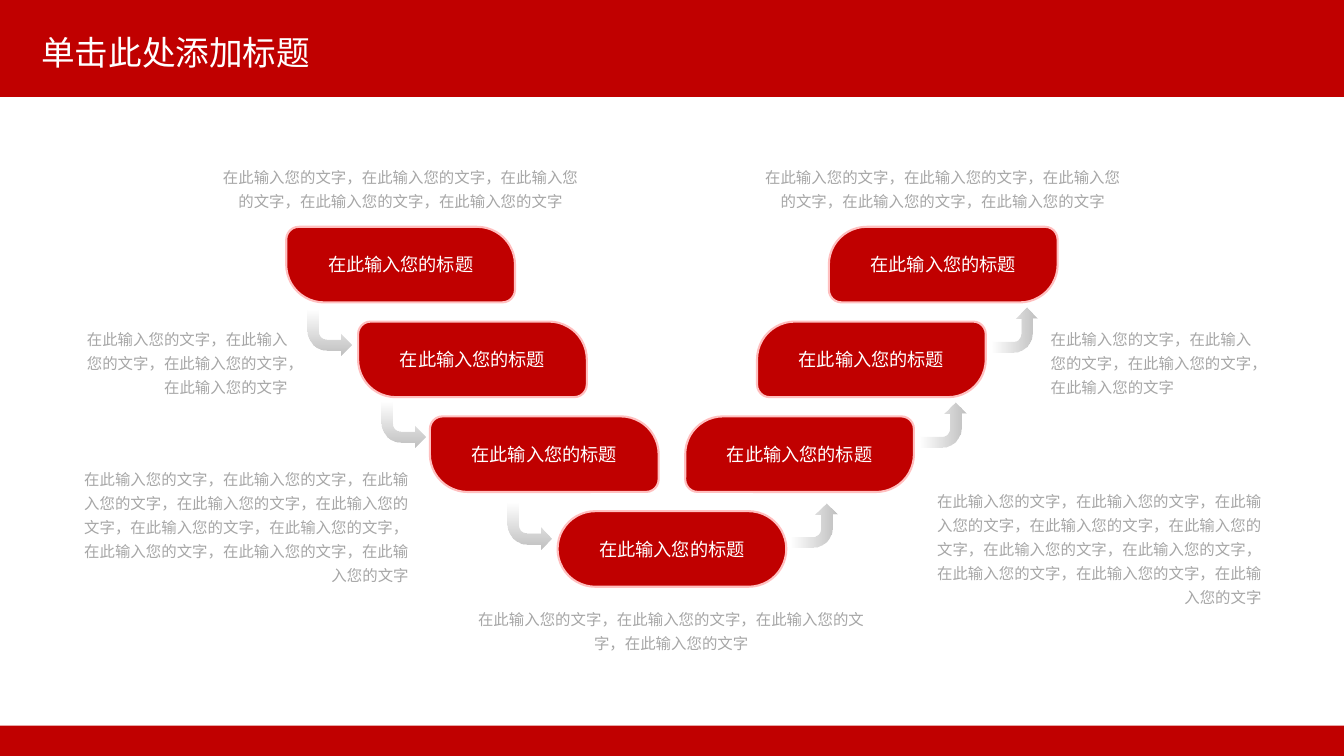
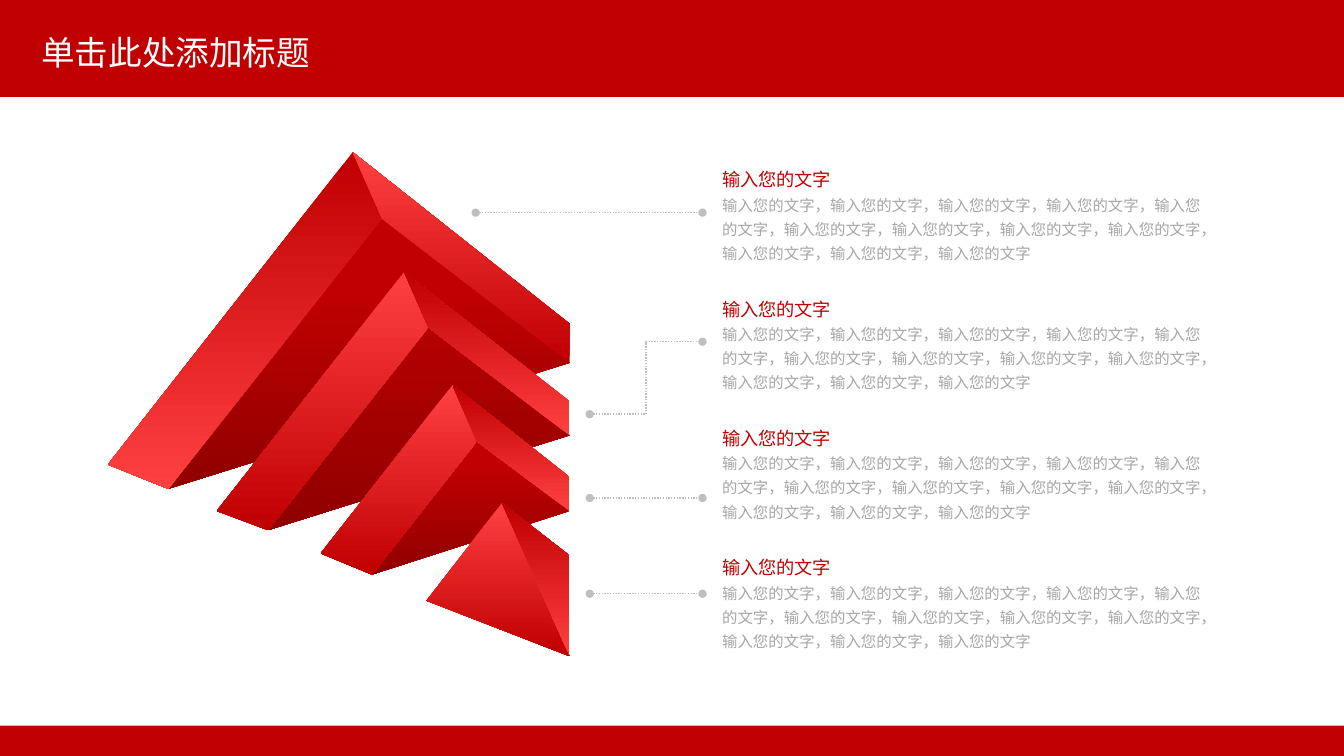
from lxml import etree
from pptx import Presentation
from pptx.dml.color import RGBColor
from pptx.enum.dml import MSO_LINE
from pptx.enum.shapes import MSO_CONNECTOR, MSO_SHAPE
from pptx.enum.text import MSO_ANCHOR, MSO_AUTO_SIZE, PP_ALIGN
from pptx.oxml.ns import qn
from pptx.util import Pt

LEFT, CENTER, RIGHT = PP_ALIGN.LEFT, PP_ALIGN.CENTER, PP_ALIGN.RIGHT
TOP, MIDDLE = MSO_ANCHOR.TOP, MSO_ANCHOR.MIDDLE
GROW = MSO_AUTO_SIZE.SHAPE_TO_FIT_TEXT
RECTANGLE, BENT_ARROW = MSO_SHAPE.RECTANGLE, MSO_SHAPE.BENT_ARROW
DIAGONAL_BOX = MSO_SHAPE.ROUND_2_DIAG_RECTANGLE
STRAIGHT, ELBOW = MSO_CONNECTOR.STRAIGHT, MSO_CONNECTOR.ELBOW
DOTTED = MSO_LINE.ROUND_DOT

WIDTH, HEIGHT = 960, 540
TITLE = "单击此处添加标题"


def color(value):
    return RGBColor.from_string(value)


def repeat_phrase(phrase, count):
    return "，".join([phrase] * count)


class Deck:
    RED, LIGHT_RED, DARK_RED = "C00000", "FF4040", "900000"
    PINK, WHITE, TEXT_GRAY, LINE_GRAY = "FFBFBF", "FFFFFF", "A6A6A6", "BFBFBF"
    BODY_FONT, TITLE_FONT, EAST_ASIAN_FONT = "Noto Sans CJK SC", "Montserrat", "Noto Sans CJK SC"
    HEADING_SIZE, TEXT_SIZE, TITLE_SIZE = 13, 11, 24

    def __init__(self):
        self.presentation = Presentation()
        self.presentation.slide_width = Pt(WIDTH)
        self.presentation.slide_height = Pt(HEIGHT)
        self.layout = self.presentation.slide_layouts[5]
        self.slide = None

    def start_slide(self, title):
        first = self.slide is None
        self.slide = self.presentation.slides.add_slide(self.layout)
        if first:
            self.add_layout_bands()
        shape = self.slide.shapes.title
        shape.left, shape.top, shape.width, shape.height = Pt(22.3), Pt(15.1), Pt(828), Pt(47.5)
        frame = shape.text_frame
        frame.text = title
        frame.vertical_anchor = MIDDLE
        paragraph = frame.paragraphs[0]
        paragraph.alignment = LEFT
        paragraph.line_spacing = 0.9
        self.format_font(paragraph, self.TITLE_SIZE, self.WHITE, self.TITLE_FONT)
        self.add_east_asian_font(shape)

    def add_layout_bands(self):
        for index, (top, height) in enumerate([(0, 69.3), (518.4, 21.6)]):
            band = self.preset(RECTANGLE, 0, top, WIDTH, height)
            self.fill_solid(band, self.RED)
            band.element.nvSpPr.cNvPr.set("id", str(100 + index))
            self.layout.shapes.element.insert(2 + index, band.element)

    def preset(self, kind, left, top, width, height):
        shape = self.slide.shapes.add_shape(kind, Pt(left), Pt(top), Pt(width), Pt(height))
        shape.shadow.inherit = False
        shape.line.fill.background()
        return shape

    def fill_solid(self, shape, value):
        shape.fill.solid()
        shape.fill.fore_color.rgb = color(value)

    def fill_gradient(self, shape, start, end, angle, start_position=0):
        shape.fill.gradient()
        shape.fill.gradient_angle = 360 - angle
        stops = shape.fill.gradient_stops
        for stop, value, position in zip(stops, (start, end), (start_position, 1)):
            stop.color.rgb = color(value)
            stop.position = position

    def format_font(self, paragraph, size, value, name):
        font = paragraph.font
        font.name = name
        font.size = Pt(size)
        font.color.rgb = color(value)

    def add_east_asian_font(self, shape):
        for latin in list(shape.element.iter(qn("a:latin"))):
            east_asian = etree.Element(qn("a:ea"), typeface=self.EAST_ASIAN_FONT)
            latin.addnext(east_asian)

    def set_frame(self, shape, anchor):
        frame = shape.text_frame
        frame.word_wrap = True
        frame.vertical_anchor = anchor
        frame.margin_left = frame.margin_right = Pt(9.6)
        frame.margin_top = frame.margin_bottom = Pt(4.8)
        return frame

    def step_box(self, left, top, width, height, text, first_corner=0.167, flipped=False):
        shape = self.preset(DIAGONAL_BOX, left, top, width, height)
        shape.adjustments[0] = first_corner
        shape.adjustments[1] = 0.5
        self.fill_solid(shape, self.RED)
        shape.line.color.rgb = color(self.PINK)
        shape.line.width = Pt(1.5)
        if flipped:
            shape.element.spPr.xfrm.set("flipH", "1")
        frame = self.set_frame(shape, MIDDLE)
        frame.text = text
        paragraph = frame.paragraphs[0]
        paragraph.alignment = CENTER
        self.format_font(paragraph, self.HEADING_SIZE, self.WHITE, self.BODY_FONT)
        self.add_east_asian_font(shape)

    def bent_arrow(self, left, top, rotation):
        shape = self.preset(BENT_ARROW, left, top, 31.7, 32.4)
        shape.rotation = rotation
        shape.element.spPr.xfrm.set("flipH", "1")
        self.fill_gradient(shape, self.LINE_GRAY, self.LINE_GRAY, 90)
        faded = list(shape.element.spPr.iter(qn("a:srgbClr")))[-1]
        etree.SubElement(faded, qn("a:alpha"), val="0")

    def text_box(self, left, top, width, height, text, alignment=LEFT, anchor=MIDDLE,
                 heading=None, space_after=0):
        shape = self.slide.shapes.add_textbox(Pt(left), Pt(top), Pt(width), Pt(height))
        frame = self.set_frame(shape, anchor)
        frame.auto_size = GROW
        frame.text = f"{heading}\n{text}" if heading else text
        for paragraph in frame.paragraphs:
            paragraph.alignment = alignment
            paragraph.line_spacing = 1.3
            paragraph.space_after = Pt(space_after)
            self.format_font(paragraph, self.TEXT_SIZE, self.TEXT_GRAY, self.BODY_FONT)
        if heading:
            self.format_font(frame.paragraphs[0], self.HEADING_SIZE, self.RED, self.BODY_FONT)
        self.add_east_asian_font(shape)

    def face(self, group, points, start, end, angle, start_position=0):
        corners = [(Pt(x), Pt(y)) for x, y in points]
        builder = group.shapes.build_freeform(*corners[0])
        builder.add_line_segments(corners[1:], close=True)
        shape = builder.convert_to_shape()
        shape.shadow.inherit = False
        shape.line.fill.background()
        self.fill_gradient(shape, start, end, angle, start_position)

    def chevron(self, apex, left, foot, inner, upper_right, lower_right, shades, shadow_start):
        group = self.slide.shapes.add_group_shape()
        self.face(group, [foot, lower_right, apex], self.RED, self.DARK_RED, 90, shadow_start)
        self.face(group, [inner, apex, left, foot], *shades, 90)
        self.face(group, [apex, inner, lower_right, upper_right], *shades, 270)

    def pyramid_tip(self, apex, left, bottom, upper_right):
        group = self.slide.shapes.add_group_shape()
        self.face(group, [bottom, apex, left], self.LIGHT_RED, self.RED, 90)
        self.face(group, [bottom, upper_right, apex], self.LIGHT_RED, self.RED, 270)

    def callout_line(self, kind, start_x, start_y, end_x, end_y):
        connector = self.slide.shapes.add_connector(
            kind, Pt(start_x), Pt(start_y), Pt(end_x), Pt(end_y))
        connector.line.color.rgb = color(self.LINE_GRAY)
        connector.line.width = Pt(1)
        connector.line.dash_style = DOTTED
        properties = connector.element.spPr
        outline = properties.find(qn("a:ln"))
        for end in ("a:headEnd", "a:tailEnd"):
            etree.SubElement(outline, qn(end), type="oval")
        etree.SubElement(properties, qn("a:effectLst"))


def build_steps(deck):
    deck.start_slide(TITLE)
    label = "在此输入您的标题"
    width, height, first_top, row_step = 163.4, 54, 162, 67.7
    for row in range(3):
        left, top = 204.5 + 51.3 * row, first_top + row_step * row
        deck.step_box(left, top, width, height, label)
        deck.step_box(WIDTH - left - width, top, width, height, label, flipped=True)
    deck.step_box((WIDTH - width) / 2, first_top + 3 * row_step, width, height, label,
                  first_corner=0.5)

    for left, top in [(219.6, 221.8), (272.2, 287.3), (362.2, 360)]:
        deck.bent_arrow(left, top, 180)
    for left, top in [(709.2, 219.6), (658.1, 287.3), (565.9, 359.3)]:
        deck.bent_arrow(left, top, 90)

    captions = [
        (146.2, 110.9, 280, 44.6, 5, CENTER, MIDDLE),
        (533.5, 110.9, 280, 44.6, 5, CENTER, MIDDLE),
        (44.6, 226.8, 170.6, 61.9, 4, RIGHT, MIDDLE),
        (740.9, 226.8, 170.6, 61.9, 4, LEFT, MIDDLE),
        (44.6, 326.9, 257, 96.5, 10, RIGHT, TOP),
        (656.6, 342, 254.2, 96.5, 10, RIGHT, MIDDLE),
        (328.3, 427, 302.4, 44.6, 4, CENTER, MIDDLE),
    ]
    for left, top, box_width, box_height, count, alignment, anchor in captions:
        deck.text_box(left, top, box_width, box_height, repeat_phrase("在此输入您的文字", count),
                      alignment, anchor, space_after=8)


def build_pyramid(deck):
    deck.start_slide(TITLE)
    edge = 406.8
    dark_to_light = (deck.RED, deck.LIGHT_RED)
    light_to_dark = (deck.LIGHT_RED, deck.RED)
    deck.chevron((252, 108.7), (77, 331.9), (120.2, 349.2), (272.9, 156.2),
                 (edge, 231.1), (edge, 259.2), dark_to_light, 0.41)
    deck.chevron((288.7, 194.4), (154.8, 365), (191.5, 378.7), (306, 234),
                 (edge, 286.6), (edge, 311), light_to_dark, 0)
    deck.chevron((323.3, 275), (229, 395.3), (265.7, 410.4), (340.6, 315.4),
                 (edge, 340.6), (edge, 365), light_to_dark, 0.42)
    deck.pyramid_tip((358.6, 359.3), (304.6, 429.1), (edge, 468.7), (edge, 396.7))

    phrase = "输入您的文字"
    for row in range(4):
        deck.text_box(506.2, 110.9 + 92.4 * row, 362.9, 82.1, repeat_phrase(phrase, 12),
                      anchor=TOP, heading=phrase)

    line_end = 501.8
    deck.callout_line(ELBOW, 421.2, 295.9, line_end, 244.1)
    for start, top in [(339.8, 151.9), (421.2, 355.7), (421.2, 424.1)]:
        deck.callout_line(STRAIGHT, start, top, line_end, top)


def main():
    deck = Deck()
    build_steps(deck)
    build_pyramid(deck)
    deck.presentation.save("out.pptx")


if __name__ == "__main__":
    main()
